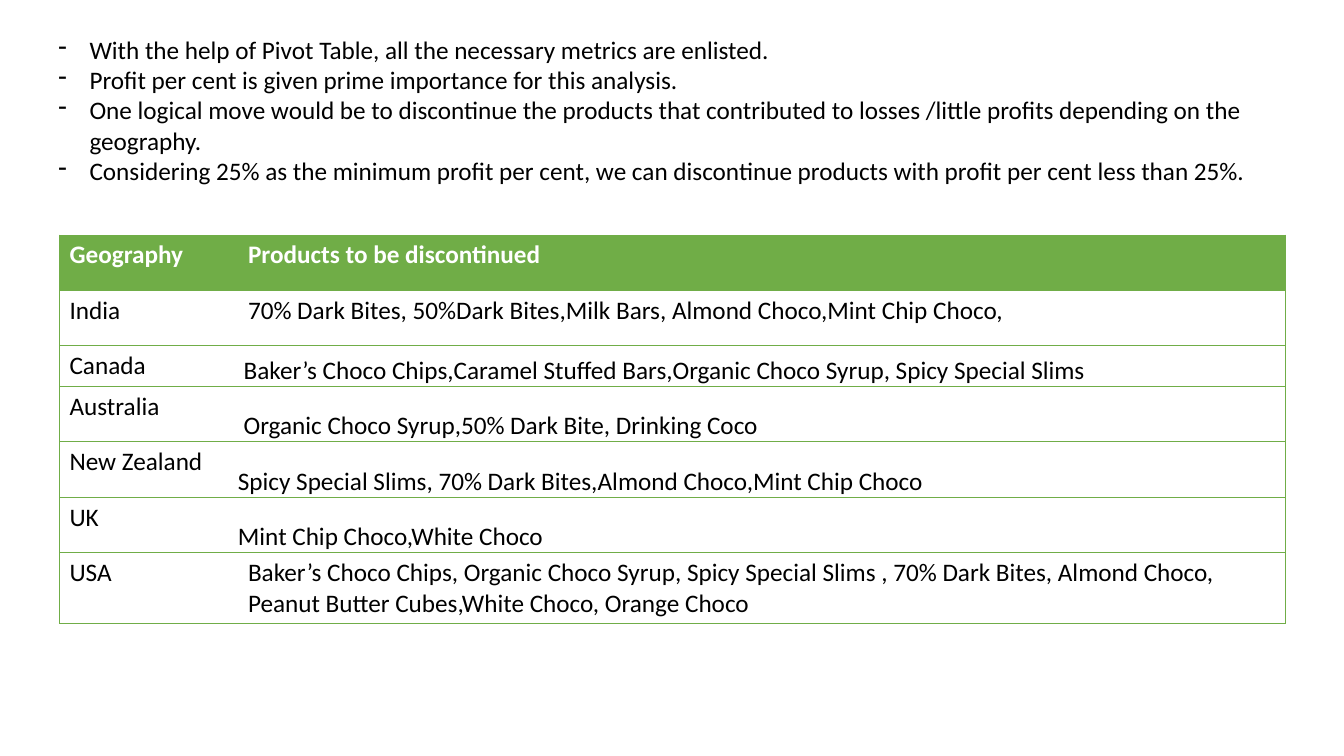
import dataclasses

import lxml.etree
import pptx
import pptx.dml.color
import pptx.enum.text
import pptx.oxml.ns
import pptx.util

Inches = pptx.util.Inches
qn = pptx.oxml.ns.qn


@dataclasses.dataclass(frozen=True)
class Theme:
    font: str = "Calibri"
    size: int = 18
    text: str = "000000"
    paper: str = "FFFFFF"
    accent: str = "70AD47"
    border: float = 0.5


class SlideBuilder:
    def __init__(self, page, theme):
        self.page = page
        self.theme = theme

    def color(self, value):
        return pptx.dml.color.RGBColor.from_string(value)

    def style(self, para, color, bold=False):
        para.font.name = self.theme.font
        para.font.size = pptx.util.Pt(self.theme.size)
        para.font.bold = bold
        para.font.color.rgb = self.color(color)

    def bullets(self, left, top, width, height, lines, indent=0.31):
        box = self.page.shapes.add_textbox(
            Inches(left), Inches(top), Inches(width), Inches(height))
        frame = box.text_frame
        frame.word_wrap = True
        frame.text = "\n".join(lines)
        for para in frame.paragraphs:
            self.style(para, self.theme.text)
            properties = para._p.get_or_add_pPr()
            properties.set("marL", str(Inches(indent)))
            properties.set("indent", str(-Inches(indent)))
            bullet = lxml.etree.Element(qn("a:buChar"), char="-")
            properties.insert(0, bullet)

    def borders(self, cell, sides):
        properties = cell._tc.get_or_add_tcPr()
        for position, side in enumerate("LRTB"):
            line = lxml.etree.Element(qn(f"a:ln{side}"))
            if side in sides:
                line.set("w", str(pptx.util.Pt(self.theme.border)))
                fill = lxml.etree.SubElement(line, qn("a:solidFill"))
                lxml.etree.SubElement(fill, qn("a:srgbClr"), val=self.theme.accent)
            else:
                lxml.etree.SubElement(line, qn("a:noFill"))
            properties.insert(position, line)

    def table(self, left, top, widths, heights, rows, flush_rows):
        table = self.page.shapes.add_table(
            len(rows), len(widths), Inches(left), Inches(top),
            Inches(sum(widths)), Inches(sum(heights))).table
        table.horz_banding = False
        for column, width in zip(table.columns, widths):
            column.width = Inches(width)
        for row, height in zip(table.rows, heights):
            row.height = Inches(height)
        for r, values in enumerate(rows):
            header = r == 0
            for c, value in enumerate(values):
                cell = table.cell(r, c)
                cell.text = value
                cell.fill.solid()
                cell.fill.fore_color.rgb = self.color(
                    self.theme.accent if header else self.theme.paper)
                self.style(cell.text_frame.paragraphs[0],
                           self.theme.paper if header else self.theme.text, header)
                if c == 1 and r in flush_rows:
                    cell.vertical_anchor = pptx.enum.text.MSO_ANCHOR.BOTTOM
                    cell.margin_left = cell.margin_right = 0
                    cell.margin_top = cell.margin_bottom = 0
                self.borders(cell, "LTB" if c == 0 else "RTB")


NOTES = [
    "With the help of Pivot Table, all the necessary metrics are enlisted.",
    "Profit per cent is given prime importance for this analysis.",
    "One logical move would be to discontinue the products that contributed to "
    "losses /little profits depending on the geography.",
    "Considering 25% as the minimum profit per cent, we can discontinue products "
    "with profit per cent less than 25%.",
]

DISCONTINUED = [
    ("Geography", "Products to be discontinued"),
    ("India", "70% Dark Bites, 50%Dark Bites,Milk Bars, Almond Choco,Mint Chip Choco,"),
    ("Canada", " Baker’s Choco Chips,Caramel Stuffed Bars,Organic Choco Syrup, "
               "Spicy Special Slims"),
    ("Australia", " Organic Choco Syrup,50% Dark Bite, Drinking Coco"),
    ("New Zealand", "Spicy Special Slims, 70% Dark Bites,Almond Choco,Mint Chip Choco"),
    ("UK", "Mint Chip Choco,White Choco"),
    ("USA", "Baker’s Choco Chips, Organic Choco Syrup, Spicy Special Slims , "
            "70% Dark Bites, Almond Choco, Peanut Butter Cubes,White Choco, Orange Choco"),
]


def main():
    deck = pptx.Presentation()
    deck.slide_width = Inches(13.33)
    deck.slide_height = Inches(7.5)
    page = deck.slides.add_slide(deck.slide_layouts[6])
    builder = SlideBuilder(page, Theme())
    builder.bullets(0.48, 0.29, 12.38, 1.92, NOTES)
    heights = [0.35 if place == "Canada" else 0.55 for place, _ in DISCONTINUED]
    builder.table(0.59, 2.33, [1.77, 10.39], heights, DISCONTINUED, range(2, 6))
    deck.save("out.pptx")


if __name__ == "__main__":
    main()
